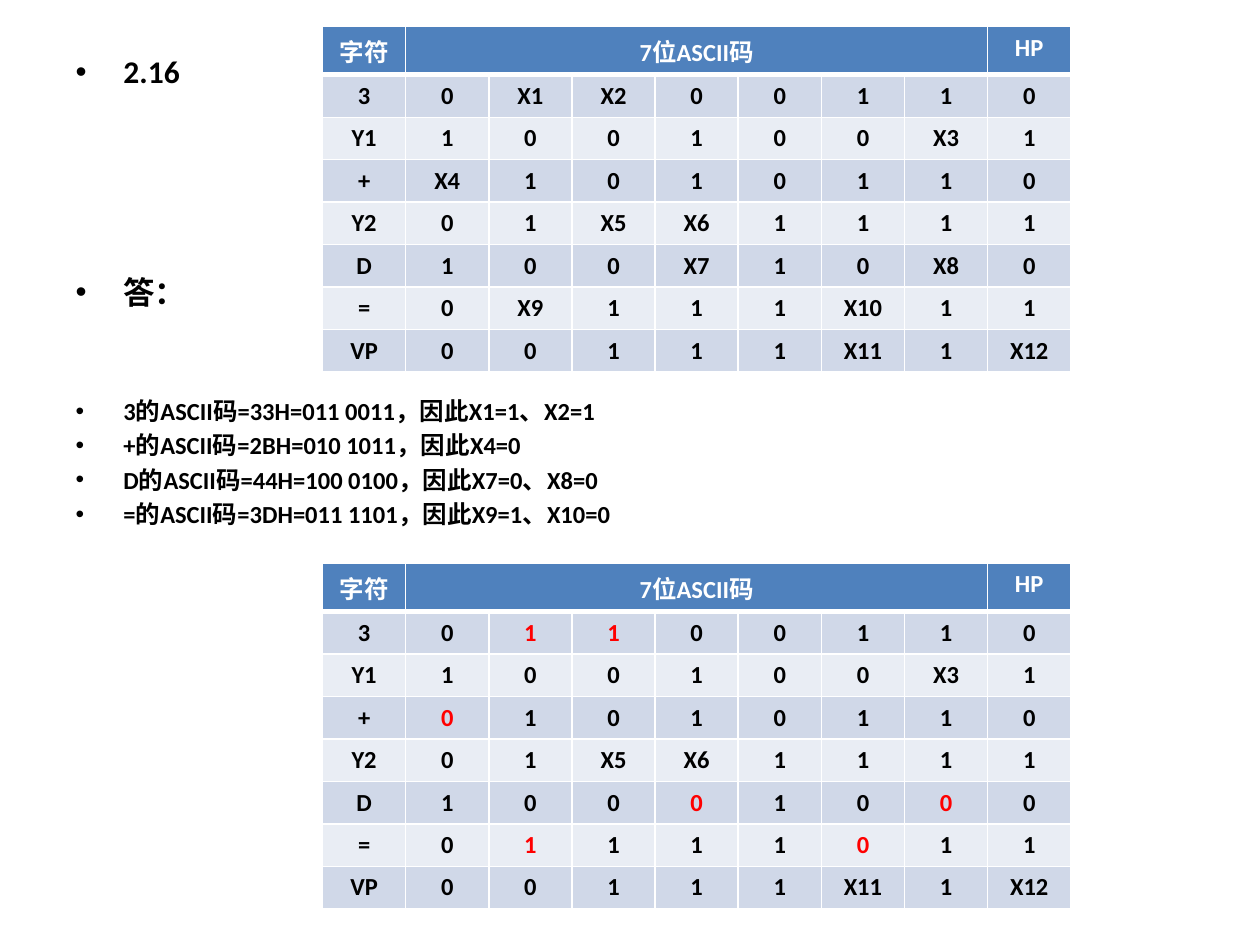
from lxml.etree import SubElement
from pptx import Presentation
from pptx.dml.color import RGBColor
from pptx.enum.text import MSO_ANCHOR, PP_ALIGN
from pptx.oxml.ns import qn
from pptx.util import Inches, Pt

COLORS = {
    "text": "000000",
    "header_text": "FFFFFF",
    "solved": "FF0000",
    "header": "4F81BD",
    "odd_row": "D0D8E8",
    "even_row": "E9EDF4",
    "border": "FFFFFF",
}
FONT = "Calibri"

HEADER = ["字符", "7位ASCII码", "", "", "", "", "", "", "HP"]
CODES = [line.split() for line in (
    "3 0 X1 X2 0 0 1 1 0",
    "Y1 1 0 0 1 0 0 X3 1",
    "+ X4 1 0 1 0 1 1 0",
    "Y2 0 1 X5 X6 1 1 1 1",
    "D 1 0 0 X7 1 0 X8 0",
    "= 0 X9 1 1 1 X10 1 1",
    "VP 0 0 1 1 1 X11 1 X12",
)]
SOLVED = {"X1": "1", "X2": "1", "X4": "0", "X7": "0",
          "X8": "0", "X9": "1", "X10": "0"}

# Text, size, line height and space before, in points
LINES = [
    ("2.16", 18, 22, 0),
    ("答：", 18, 22, 104),
    ("3的ASCII码=33H=011 0011，因此X1=1、X2=1", 14, 17, 48.5),
    ("+的ASCII码=2BH=010 1011，因此X4=0", 14, 17, 2.6),
    ("D的ASCII码=44H=100 0100，因此X7=0、X8=0", 14, 17, 2.6),
    ("=的ASCII码=3DH=011 1101，因此X9=1、X10=0", 14, 17, 2.6),
]


def format_font(font, size, color):
    values = {"name": FONT, "size": Pt(size), "bold": True}
    for name, value in values.items():
        setattr(font, name, value)
    font.color.rgb = RGBColor.from_string(COLORS[color])


def place(shape, box):
    for name, value in zip(("left", "top", "width", "height"), box):
        setattr(shape, name, Inches(value))


def add_bullet(para):
    properties = para._p.get_or_add_pPr()
    properties.set("marL", str(Inches(0.38)))
    properties.set("indent", str(Inches(-0.38)))
    SubElement(properties, qn("a:buFont"), typeface="Arial")
    SubElement(properties, qn("a:buChar"), char="•")


def fill_body(body, box):
    place(body, box)
    frame = body.text_frame
    frame.word_wrap = True
    frame.vertical_anchor = MSO_ANCHOR.TOP
    for index, (text, size, height, before) in enumerate(LINES):
        para = frame.add_paragraph() if index else frame.paragraphs[0]
        add_bullet(para)
        para.line_spacing = Pt(height)
        para.space_before = Pt(before)
        span = para.add_run()
        span.text = text
        format_font(span.font, size, "text")


def add_borders(cell, row):
    widths = {"lnL": 1, "lnR": 1,
              "lnT": 3 if row == 1 else 1, "lnB": 3 if row == 0 else 1}
    properties = cell._tc.get_or_add_tcPr()
    for tag, width in widths.items():
        line = SubElement(properties, qn(f"a:{tag}"), w=str(Pt(width)))
        fill = SubElement(line, qn("a:solidFill"))
        SubElement(fill, qn("a:srgbClr"), val=COLORS["border"])


def format_cell(cell, row, text, color):
    add_borders(cell, row)
    fill = "header" if row == 0 else "odd_row" if row % 2 else "even_row"
    cell.fill.solid()
    cell.fill.fore_color.rgb = RGBColor.from_string(COLORS[fill])
    para = cell.text_frame.paragraphs[0]
    para.alignment = PP_ALIGN.CENTER
    if text:
        span = para.add_run()
        span.text = text
        format_font(span.font, 14, color)


def add_code_table(page, box, solved):
    rows = [HEADER] + CODES
    table = page.shapes.add_table(
        len(rows), len(HEADER), *(Inches(value) for value in box)).table
    for column in table.columns:
        column.width = Inches(box[2] / len(HEADER))
    for row, values in enumerate(rows):
        table.rows[row].height = Inches(box[3] / len(rows))
        for column, value in enumerate(values):
            color = "text" if row else "header_text"
            if value in solved:
                color = "solved"
            format_cell(table.cell(row, column), row,
                        solved.get(value, value), color)
    table.cell(0, 1).merge(table.cell(0, 7))


def main():
    deck = Presentation()
    deck.slide_width, deck.slide_height = Inches(10), Inches(7.5)
    page = deck.slides.add_slide(deck.slide_layouts.get_by_name("Title and Content"))
    title = page.shapes.title._element
    title.getparent().remove(title)

    # Question and worked answer
    fill_body(page.placeholders[1], (0.5, 0.36, 9, 4.95))
    # Given codes, then the same codes with the solved bits
    add_code_table(page, (2.56, 0.21, 5.94, 2.67), {})
    add_code_table(page, (2.56, 4.47, 5.94, 2.67), SOLVED)
    deck.save("out.pptx")


if __name__ == "__main__":
    main()
